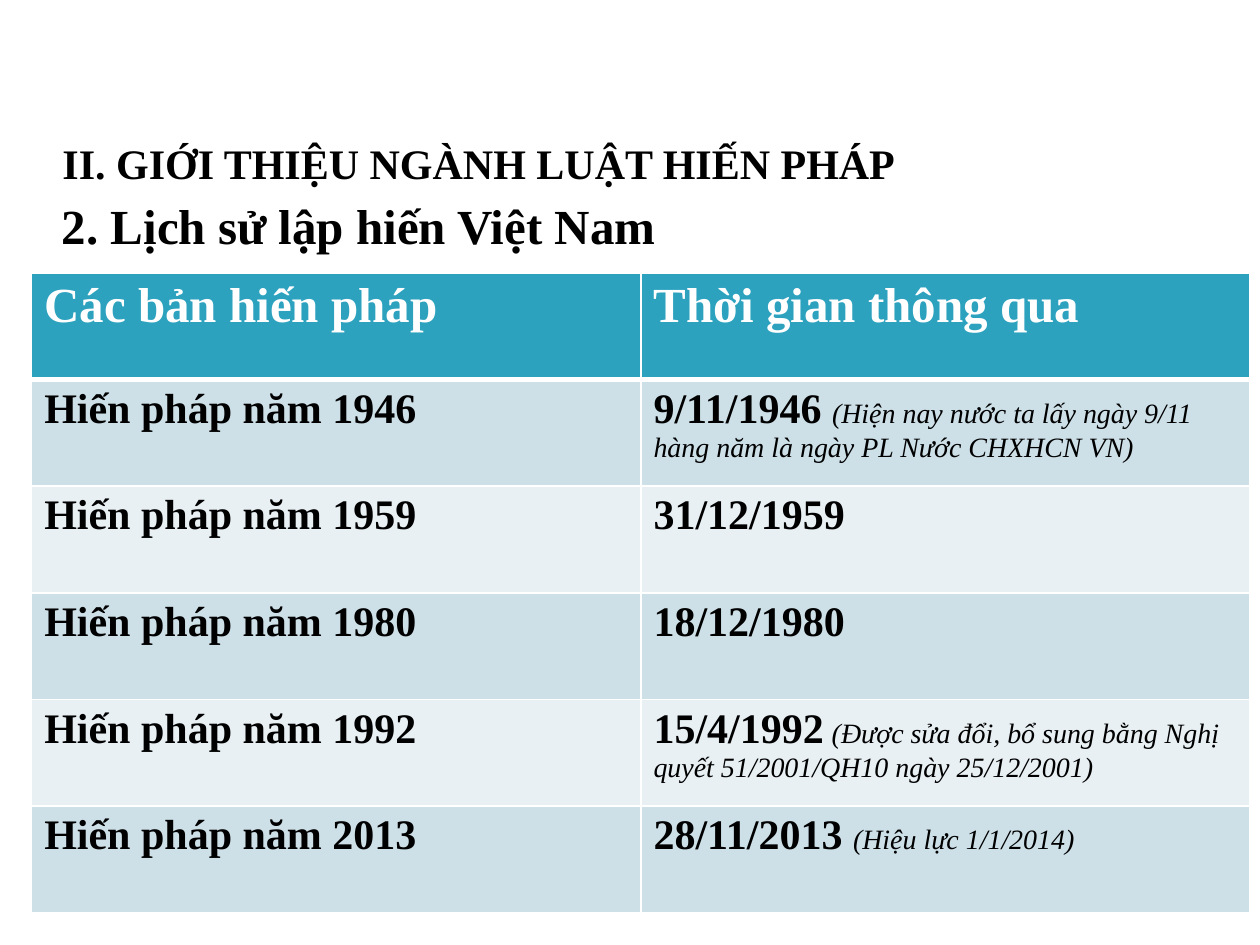
import pptx
import pptx.dml.color
import pptx.enum.text
import pptx.oxml
import pptx.oxml.ns
import pptx.util
from pptx.util import Cm

RGBColor = pptx.dml.color.RGBColor
BLACK = RGBColor(0x00, 0x00, 0x00)
WHITE = RGBColor(0xFF, 0xFF, 0xFF)
TEAL = RGBColor(0x2D, 0xA2, 0xBF)
BANDS = (RGBColor(0xCD, 0xE0, 0xE8), RGBColor(0xE8, 0xF0, 0xF4))

FONT = "Times New Roman"
HEADINGS = ("Các bản hiến pháp", "Thời gian thông qua")
CONSTITUTIONS = (
    (1946, "9/11/1946 ", "(Hiện nay nước ta lấy ngày 9/11 hàng năm là ngày PL Nước CHXHCN VN)"),
    (1959, "31/12/1959", ""),
    (1980, "18/12/1980", ""),
    (1992, "15/4/1992", "(Được sửa đổi, bổ sung bằng Nghị quyết 51/2001/QH10 ngày 25/12/2001)"),
    (2013, "28/11/2013 ", "(Hiệu lực 1/1/2014)"),
)


def add_span(para, text, size=24, bold=True, italic=False, color=BLACK):
    span = para.add_run()
    span.text = text
    span.font.name = FONT
    span.font.size = pptx.util.Pt(size)
    span.font.bold = bold
    span.font.italic = italic
    span.font.color.rgb = color


def add_title(page):
    title = page.shapes.title
    title.left, title.top, title.width, title.height = Cm(0), Cm(2.33), Cm(19.47), Cm(1.9)
    title.text_frame.vertical_anchor = pptx.enum.text.MSO_ANCHOR.MIDDLE
    para = title.text_frame.paragraphs[0]
    para.alignment = pptx.enum.text.PP_ALIGN.CENTER
    add_span(para, "II. GIỚI THIỆU NGÀNH LUẬT HIẾN PHÁP ")


def add_subtitle(page):
    box = page.shapes.add_textbox(Cm(-1.06), Cm(3.81), Cm(14.82), Cm(1.48))
    box.text_frame.word_wrap = True
    box.text_frame.margin_left = Cm(2.31)
    para = box.text_frame.paragraphs[0]
    para.space_before = pptx.util.Pt(4)
    add_span(para, "2. Lịch sử lập hiến Việt Nam", size=28)


def set_borders(cell, top=1, bottom=1):
    properties = cell._tc.get_or_add_tcPr()
    for side, points in (("L", 1), ("R", 1), ("T", top), ("B", bottom)):
        properties.append(pptx.oxml.parse_xml(
            f'<a:ln{side} {pptx.oxml.ns.nsdecls("a")} w="{pptx.util.Pt(points)}">'
            f'<a:solidFill><a:srgbClr val="{WHITE}"/></a:solidFill></a:ln{side}>'
        ))


def fill_cell(cell, color):
    cell.fill.solid()
    cell.fill.fore_color.rgb = color


def add_history_table(page):
    table = page.shapes.add_table(
        len(CONSTITUTIONS) + 1, len(HEADINGS), Cm(0.64), Cm(5.5), Cm(24.56), Cm(12.9)
    ).table
    for column, heading in enumerate(HEADINGS):
        cell = table.cell(0, column)
        set_borders(cell, bottom=3)
        fill_cell(cell, TEAL)
        add_span(cell.text_frame.paragraphs[0], heading, size=28, color=WHITE)
    for row, (year, date, note) in enumerate(CONSTITUTIONS, start=1):
        cells = table.rows[row].cells
        for cell in cells:
            set_borders(cell, top=3 if row == 1 else 1)
            fill_cell(cell, BANDS[(row - 1) % 2])
        name_para, date_para = (cell.text_frame.paragraphs[0] for cell in cells)
        add_span(name_para, f"Hiến pháp năm {year}")
        add_span(date_para, date)
        if note:
            if not date.endswith(" "):
                add_span(date_para, " ", size=18, bold=False)
            add_span(date_para, note, size=16, bold=False, italic=True)


def main():
    deck = pptx.Presentation()
    deck.slide_width, deck.slide_height = Cm(25.4), Cm(19.05)
    page = deck.slides.add_slide(deck.slide_layouts[5])
    add_subtitle(page)
    add_history_table(page)
    add_title(page)
    deck.save("out.pptx")


if __name__ == "__main__":
    main()
